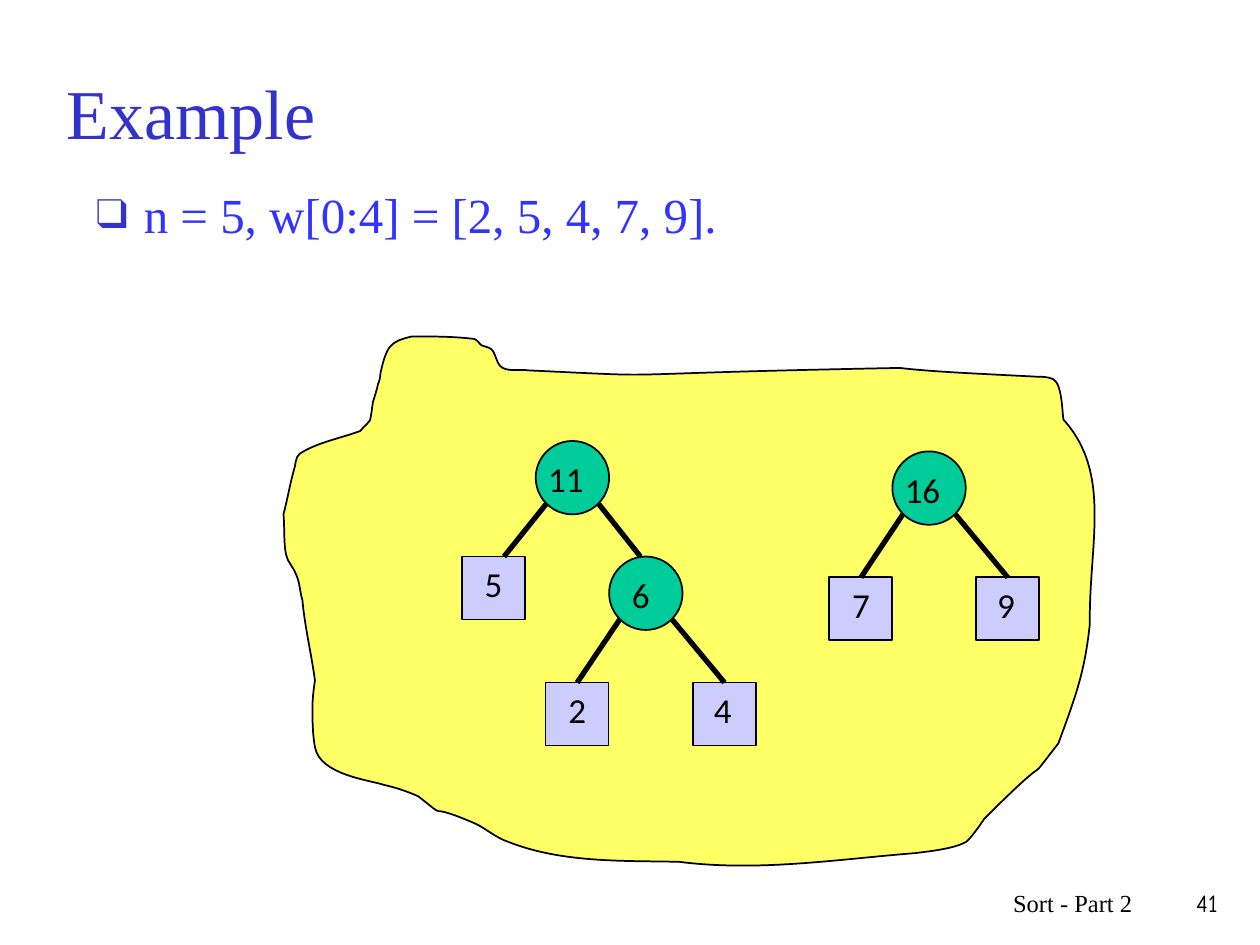
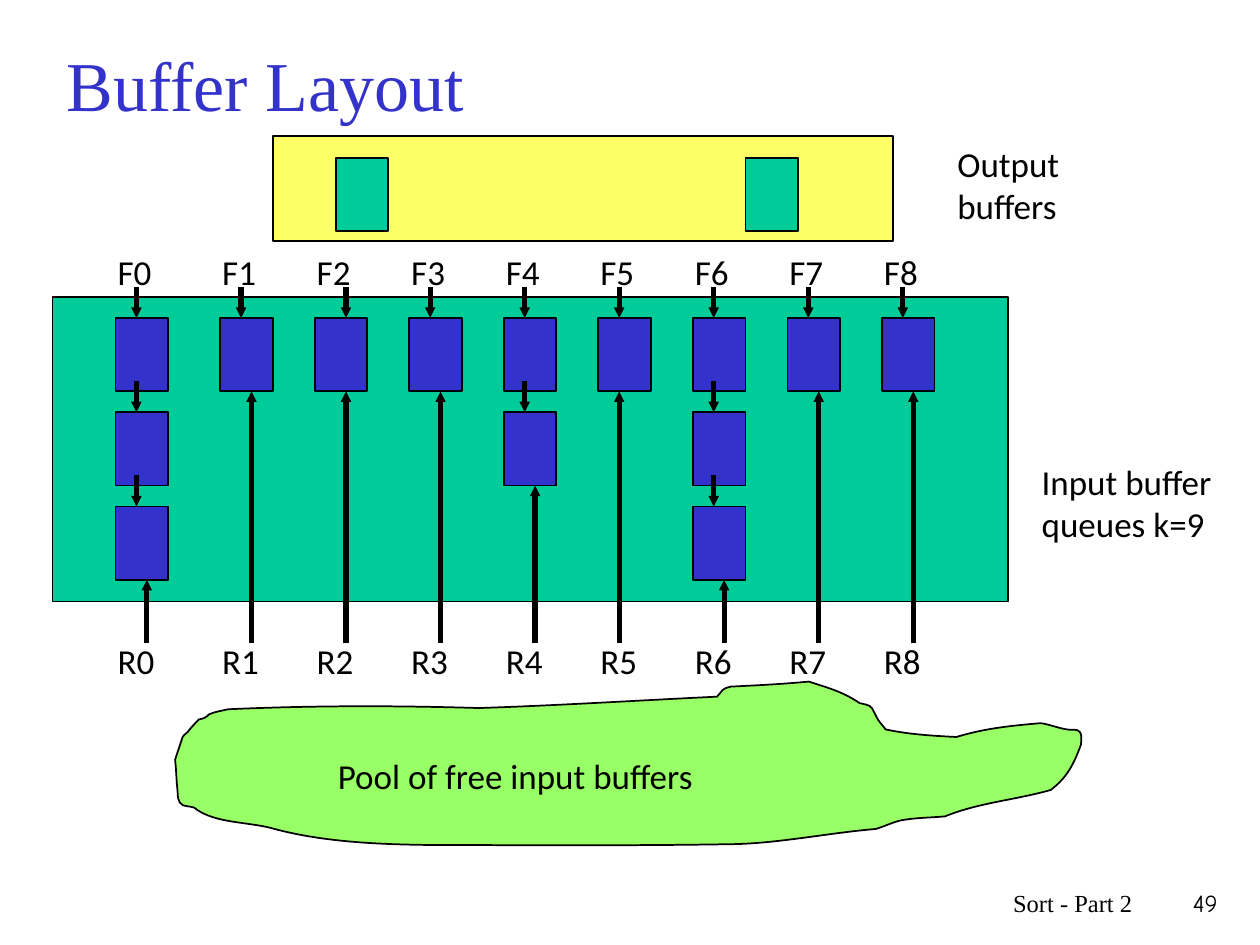
from lxml import etree
from pptx import Presentation
from pptx.dml.color import RGBColor
from pptx.enum.shapes import MSO_CONNECTOR as Link, MSO_SHAPE as Preset
from pptx.enum.text import MSO_ANCHOR as Anchor, PP_ALIGN as Align
from pptx.oxml.ns import qn
from pptx.util import Cm, Pt

BLACK = RGBColor(0x00, 0x00, 0x00)
BLUE = RGBColor(0x33, 0x33, 0xCC)
BRIGHT_BLUE = RGBColor(0x33, 0x33, 0xFF)
YELLOW = RGBColor(0xFF, 0xFF, 0x66)
GREEN = RGBColor(0x00, 0xCC, 0x99)
LIME = RGBColor(0x99, 0xFF, 0x66)
LILAC = RGBColor(0xCC, 0xCC, 0xFF)

TITLE = {"name": "Times New Roman", "size": Pt(40)}
BODY = {"name": "Times New Roman", "size": Pt(28)}
LABEL = {"name": "Calibri", "size": Pt(20)}
FOOTER = {"name": "Times New Roman", "size": Pt(14)}
NUMBER = {"name": "Comic Neue", "size": Pt(14)}

HUNDREDTH_INCH = Cm(0.0254)

FOREST_OUTLINE = [
    (286, 342),
    (270, 348, 252, 351, 238, 360), (234, 363, 235, 369, 233, 374),
    (230, 385, 228, 397, 225, 408), (226, 419, 225, 430, 227, 440),
    (228, 446, 233, 450, 235, 456), (238, 462, 238, 470, 240, 476),
    (242, 498, 247, 518, 250, 540), (249, 547, 248, 554, 248, 561),
    (248, 572, 248, 582, 250, 593), (254, 615, 293, 619, 305, 623),
    (314, 625, 323, 628, 332, 632), (360, 654, 332, 634, 378, 654),
    (386, 658, 394, 665, 403, 668), (446, 685, 494, 683, 539, 684),
    (602, 692, 664, 682, 727, 677), (734, 676, 757, 674, 767, 668),
    (770, 666, 780, 652, 781, 650), (844, 587, 808, 631, 840, 590),
    (854, 552, 861, 533, 865, 495), (864, 433, 883, 376, 844, 333),
    (843, 327, 843, 305, 836, 301), (832, 299, 827, 299, 823, 299),
    (804, 298, 784, 297, 765, 296), (748, 295, 731, 294, 714, 292),
    (452, 297, 550, 300, 420, 294), (413, 293, 405, 295, 399, 292),
    (393, 289, 394, 278, 388, 276), (386, 275, 384, 275, 382, 274),
    (380, 272, 378, 269, 376, 269), (360, 267, 344, 267, 327, 267),
    (310, 271, 307, 274, 302, 296), (302, 299, 301, 303, 300, 305),
    (299, 310, 296, 319, 296, 319), (293, 340, 295, 331, 286, 342),
]
POOL_OUTLINE = [
    (569, 553),
    (506, 556, 443, 560, 380, 562), (313, 560, 247, 560, 181, 563),
    (177, 564, 170, 565, 166, 567), (165, 568, 164, 569, 162, 570),
    (161, 570, 160, 571, 158, 571), (155, 574, 152, 577, 149, 581),
    (147, 582, 145, 585, 145, 585), (143, 591, 141, 597, 139, 603),
    (140, 612, 140, 620, 141, 628), (141, 631, 141, 637, 145, 639),
    (147, 640, 151, 640, 154, 641), (170, 654, 198, 652, 218, 658),
    (278, 674, 351, 670, 411, 671), (468, 671, 526, 671, 584, 670),
    (620, 669, 659, 661, 695, 658), (702, 656, 710, 652, 716, 651),
    (727, 649, 739, 649, 750, 648), (777, 637, 806, 635, 834, 627),
    (847, 617, 852, 607, 858, 591), (858, 588, 859, 583, 857, 581),
    (855, 578, 850, 580, 847, 579), (840, 578, 833, 575, 826, 574),
    (803, 576, 782, 578, 759, 585), (740, 584, 722, 583, 703, 579),
    (695, 569, 699, 575, 692, 562), (690, 559, 685, 559, 682, 558),
    (669, 549, 657, 546, 642, 541), (621, 543, 601, 544, 580, 545),
    (572, 547, 574, 548, 569, 553),
]


def write(page, text, frame, font, color=BLACK, align=Align.LEFT, anchor=Anchor.TOP):
    box = page.shapes.add_textbox(*map(Cm, frame))
    box.text_frame.word_wrap = True
    box.text_frame.vertical_anchor = anchor
    para = box.text_frame.paragraphs[0]
    para.alignment = align
    span = para.add_run()
    span.text = text
    for name, value in font.items():
        setattr(span.font, name, value)
    span.font.color.rgb = color
    return para


def paint(shape, fill):
    shape.shadow.inherit = False
    shape.fill.solid()
    shape.fill.fore_color.rgb = fill
    shape.line.color.rgb = BLACK
    shape.line.width = Pt(1)
    return shape


deck = Presentation()
deck.slide_width, deck.slide_height = Cm(25.4), Cm(19.05)
pages = [deck.slides.add_slide(deck.slide_layouts[6]) for _ in range(2)]
example, layout = pages

for page, (start, *curves), fill in ((example, FOREST_OUTLINE, YELLOW), (layout, POOL_OUTLINE, LIME)):
    builder = page.shapes.build_freeform(*start, scale=HUNDREDTH_INCH)
    for curve in curves:
        builder.add_line_segments(zip(curve[::2], curve[1::2]), close=curve is curves[-1])
    blob = paint(builder.convert_to_shape(), fill)
    corners = list(blob._element.iter(qn("a:lnTo")))
    for first, second, third in zip(corners[::3], corners[1::3], corners[2::3]):
        bezier = etree.Element(qn("a:cubicBezTo"))
        first.addprevious(bezier)
        for corner in (first, second, third):
            bezier.append(corner[0])
            corner.getparent().remove(corner)

titles = (("Example", 0.76, 2.97, "41"), ("Buffer Layout", 0.52, 2.34, "49"))
for page, (title, top, height, number) in zip(pages, titles):
    write(page, title, (1.1, top, 21.59, height), TITLE, BLUE, anchor=Anchor.MIDDLE)
    write(page, number, (23.07, 17.78, 1.73, 1.27), NUMBER, align=Align.RIGHT)
    write(page, "Sort - Part 2", (15.03, 17.78, 8.05, 1.27), FOOTER, align=Align.RIGHT)

para = write(example, "n = 5, w[0:4] = [2, 5, 4, 7, 9].", (1.69, 3.6, 21.59, 1.7), BODY, BRIGHT_BLUE)
properties = para._p.get_or_add_pPr()
properties.set("marL", str(Cm(0.96)))
properties.set("indent", str(-Cm(0.96)))
bullet_color = etree.SubElement(properties, qn("a:buClr"))
etree.SubElement(bullet_color, qn("a:srgbClr"), val=str(BLUE))
etree.SubElement(properties, qn("a:buSzPct"), val="85000")
etree.SubElement(properties, qn("a:buFont"), typeface="Times New Roman")
etree.SubElement(properties, qn("a:buChar"), char="❑")

LEAF, CIRCLE = 1.27, 1.48
leaves = {"5": (9.31, 11.22), "2": (11, 13.76), "4": (13.97, 13.76),
          "7": (16.72, 11.64), "9": (19.68, 11.64)}
circles = {"6": (12.28, 11.22), "11": (10.8, 8.89), "16": (17.99, 9.1)}
nodes = {}
for value, (left, top) in leaves.items():
    nodes[value] = paint(example.shapes.add_shape(
        Preset.RECTANGLE, Cm(left), Cm(top), Cm(LEAF), Cm(LEAF)), LILAC)
    shift = 0.17 if value in "49" else 0.21
    write(example, value, (left + shift, top, 1.32, 1.09), LABEL)
for value, (left, top) in circles.items():
    nodes[value] = paint(example.shapes.add_shape(
        Preset.OVAL, Cm(left), Cm(top), Cm(CIRCLE), Cm(CIRCLE)), GREEN)
    shift, width = (0.21, 1.07) if len(value) == 1 else (0, CIRCLE)
    write(example, value, (left + shift, top + 0.21, width, 1.09), LABEL)

LEFT_LEG, RIGHT_LEG, LEG_TOP = 0.21, 1.27, 1.27
edges = (("6", LEFT_LEG, "2", None), ("6", RIGHT_LEG, "4", None),
         ("11", LEFT_LEG, "5", 0.85), ("11", RIGHT_LEG, "6", 0.63),
         ("16", LEFT_LEG, "7", None), ("16", RIGHT_LEG, "9", None))
lines = []
for parent, leg, child, reach in edges:
    left, top = circles[parent]
    end_left, end_top = {**leaves, **circles}[child]
    target = nodes[child] if reach is None else None
    lines.append((example, left + leg, top + LEG_TOP, end_left + (reach or LEAF / 2), end_top, target))

BLOCK_WIDTH, BLOCK_HEIGHT = 1.06, 1.48
FIRST_ROW, ROW_PITCH = 6.41, 1.9
queue_lengths = (3, 1, 1, 1, 2, 1, 3, 1, 1)
column_lefts = [2.33] + [4.44 + (17.78 - 4.44) / 7 * i for i in range(8)]
blocks = [(5.5, 2.75, 12.5, 2.11, YELLOW), (1.06, 5.99, 19.26, 6.14, GREEN)]
blocks += [(left, 3.18, BLOCK_WIDTH, BLOCK_HEIGHT, GREEN) for left in (6.77, 15.03)]
for queue, (left, length) in enumerate(zip(column_lefts, queue_lengths)):
    front = left + (0.63 if queue == 2 else 0.42)
    rear = left + (0.42 if queue == 5 else 0.63)
    for row in range(length):
        top = FIRST_ROW + row * ROW_PITCH
        blocks.append((left, top, BLOCK_WIDTH, BLOCK_HEIGHT, BLUE))
        lines.append((layout, front, top - 0.63, front, top, None))
    lines.append((layout, rear, 12.97, rear, top + BLOCK_HEIGHT, None))
for *frame, fill in blocks:
    paint(layout.shapes.add_shape(Preset.RECTANGLE, *map(Cm, frame)), fill)
for queue, left in enumerate(column_lefts):
    for letter, top in (("F", 4.93), ("R", 12.76)):
        write(layout, f"{letter}{queue}", (left - 0.21, top, 1.91, 1.09), LABEL)
write(layout, "Output buffers", (19.05, 2.74, 4.24, 1.96), LABEL)
write(layout, "Input buffer queues k=9", (20.75, 9.16, 4.24, 1.96), LABEL)
write(layout, "Pool of free input buffers", (6.56, 15.09, 10.36, 1.09), LABEL)

for page, *ends, target in lines:
    line = page.shapes.add_connector(Link.STRAIGHT, *map(Cm, ends))
    line.line.color.rgb = BLACK
    line.line.width = Pt(3)
    etree.SubElement(line._element.spPr, qn("a:effectLst"))
    if target is not None:
        line.end_connect(target, 0)
    if page is layout:
        etree.SubElement(line.line._get_or_add_ln(), qn("a:tailEnd"), type="triangle", w="sm", len="sm")

deck.save("out.pptx")
